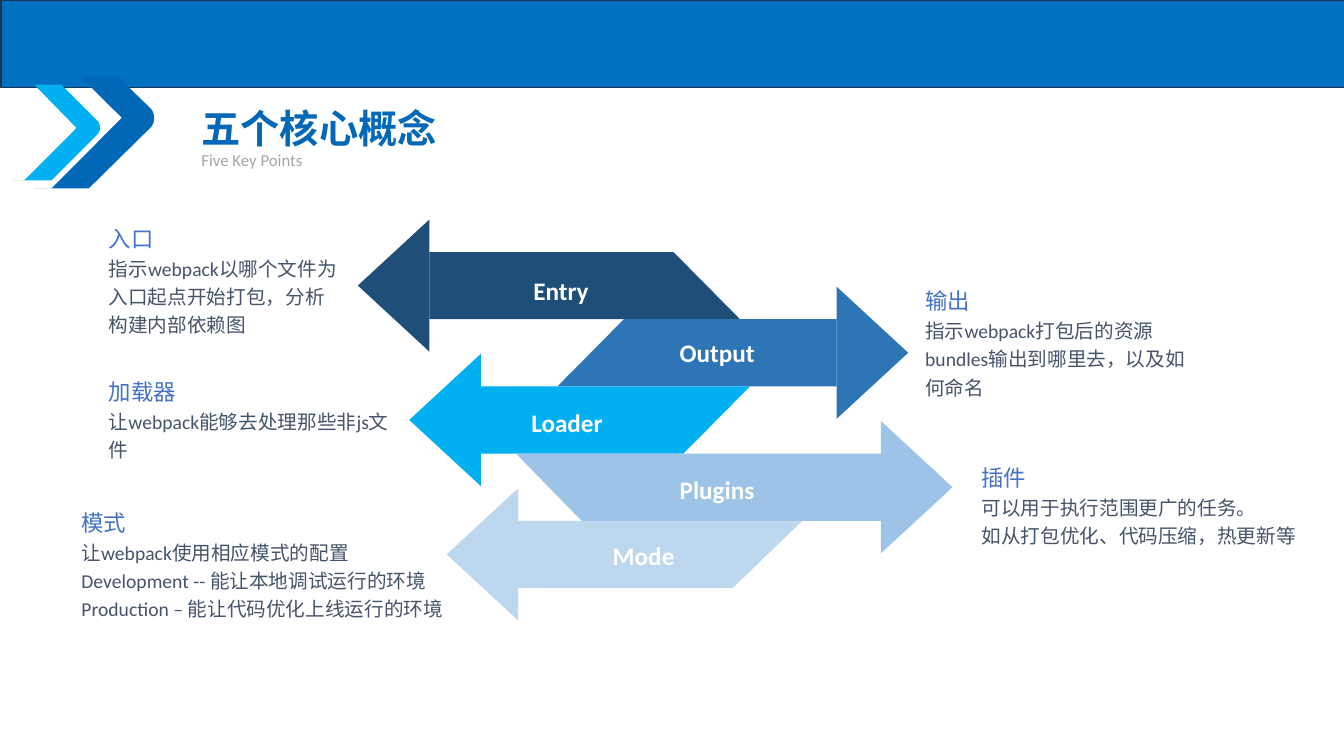
"""Build the slide on the five core concepts of a bundler."""
from dataclasses import dataclass

from pptx import Presentation
from pptx.dml.color import RGBColor
from pptx.enum.shapes import MSO_SHAPE
from pptx.enum.text import MSO_ANCHOR, MSO_AUTO_SIZE, PP_ALIGN
from pptx.util import Pt

RECTANGLE = MSO_SHAPE.RECTANGLE
TOP = MSO_ANCHOR.TOP
NO_FIT = MSO_AUTO_SIZE.NONE
LEFT, CENTER = PP_ALIGN.LEFT, PP_ALIGN.CENTER

FONT = "Calibri"
COLORS = {
    "band": "0070C0", "band_line": "1E3256", "title": "0068B7",
    "subtitle": "A6A6A6", "heading": "4472C4", "body": "44546A",
    "white": "FFFFFF", "navy": "1F4E79", "blue": "2E75B6",
    "cyan": "00B0F0", "sky": "9DC3E6", "pale": "BDD7EE",
}
FIRST_CENTER, ARROW_PITCH = 204, 48
HALF_BODY, HALF_HEAD, HEAD_LENGTH = 24, 47.2, 51.1
LABEL_WIDTH, LABEL_HEIGHT = 176.4, 31.7

Point = tuple[float, float]


@dataclass(frozen=True)
class Concept:
    """An arrow with its label and its description."""

    label: str
    color: str
    tip: float
    far_top: float
    far_bottom: float
    label_left: float
    label_top: float
    note_box: tuple[float, float, float, float]
    heading: str
    lines: tuple[str, ...]


@dataclass(frozen=True)
class Chevron:
    """A chevron with a rounded nose between two straight edges."""

    color: str
    before: tuple[Point, ...]
    nose: tuple[Point, Point, Point, Point]
    after: tuple[Point, ...]


CONCEPTS = (
    Concept("Entry", "navy", 255.6, 481, 528.5, 312.5, 188.6,
            (70.6, 153.4, 180, 90), "入口",
            ("指示webpack以哪个文件为入口起点开始打包，分析构建内部依赖图",)),
    Concept("Output", "blue", 648.7, 445.7, 398.2, 424, 233.3,
            (653.8, 198, 203.8, 90), "输出",
            ("指示webpack打包后的资源bundles输出到哪里去，以及如何命名",)),
    Concept("Loader", "cyan", 292.3, 535.7, 488.2, 316.8, 283,
            (70.6, 262.8, 223.9, 69.8), "加载器",
            ("让webpack能够去处理那些非js文件",)),
    Concept("Plugins", "sky", 680.4, 368.6, 415.4, 424, 331.2,
            (694.1, 324, 265.7, 69.8), "插件",
            ("可以用于执行范围更广的任务。",
             "如从打包优化、代码压缩，热更新等")),
    Concept("Mode", "pale", 319, 573.1, 523.4, 371.5, 378,
            (51.1, 356.4, 283.7, 90), "模式",
            ("让webpack使用相应模式的配置",
             "Development -- 能让本地调试运行的环境",
             "Production – 能让代码优化上线运行的环境")),
)
CHEVRONS = (
    Chevron("title", ((24.5, 134.6), (63.4, 134.6)),
            ((108, 90.7), (110.9, 87.1), (110.9, 81.4), (108, 77.8)),
            ((84.2, 54.7), (57.6, 54.7), (87.1, 84.2), (36.7, 134.6))),
    Chevron("cyan", ((8.6, 128.9), (36.7, 128.9)),
            ((69.8, 95.8), (72, 93.6), (72, 89.3), (69.8, 86.4)),
            ((43.9, 60.5), (24.5, 60.5), (54.7, 91.4), (17.3, 128.9))),
)


def rgb(color: str) -> RGBColor:
    """Return the named colour."""
    return RGBColor.from_string(COLORS[color])


def write_para(frame, text: str, *, size: float, color: str, bold: bool = False,
               align=LEFT, spacing: float = 1.2) -> None:
    """Add a formatted paragraph to a text frame."""
    para = frame.add_paragraph() if frame.text else frame.paragraphs[0]
    para.alignment, para.line_spacing = align, spacing
    span = para.add_run()
    span.text = text
    span.font.name, span.font.size, span.font.bold = FONT, Pt(size), bold
    span.font.color.rgb = rgb(color)


def add_box(page, left: float, top: float, width: float, height: float):
    """Add a wrapping text box and return its text frame."""
    box = page.shapes.add_textbox(Pt(left), Pt(top), Pt(width), Pt(height))
    box.text_frame.word_wrap = True
    return box.text_frame


def add_polygon(page, points: list[Point], color: str) -> None:
    """Draw a closed filled outline."""
    corners = [(Pt(x), Pt(y)) for x, y in points]
    builder = page.shapes.build_freeform(*corners[0])
    builder.add_line_segments(corners[1:], close=True)
    polygon = builder.convert_to_shape()
    polygon.shadow.inherit = False
    polygon.fill.solid()
    polygon.fill.fore_color.rgb = rgb(color)
    polygon.line.fill.background()


def add_arrow(page, concept: Concept, center: float) -> None:
    """Draw the slanted body and the head of an arrow."""
    points_left = concept.tip < concept.far_top
    neck = concept.tip + (HEAD_LENGTH if points_left else -HEAD_LENGTH)
    top, bottom = center - HALF_BODY, center + HALF_BODY
    add_polygon(page, [(neck, top), (concept.far_top, top),
                       (concept.far_bottom, bottom), (neck, bottom)], concept.color)
    add_polygon(page, [(concept.tip, center), (neck, center - HALF_HEAD),
                       (neck, center + HALF_HEAD)], concept.color)


def add_concept(page, concept: Concept, center: float) -> None:
    """Draw an arrow, its label and its description."""
    add_arrow(page, concept, center)
    label = add_box(page, concept.label_left, concept.label_top,
                    LABEL_WIDTH, LABEL_HEIGHT)
    write_para(label, concept.label, size=18, color="white", bold=True, align=CENTER)
    note = add_box(page, *concept.note_box)
    write_para(note, concept.heading, size=16, color="heading")
    for line in concept.lines:
        write_para(note, line, size=14, color="body")


def curve(nose: tuple[Point, Point, Point, Point], steps: int = 8) -> list[Point]:
    """Return points along a cubic curve."""
    points = []
    for step in range(steps + 1):
        t = step / steps
        weights = ((1 - t) ** 3, 3 * t * (1 - t) ** 2, 3 * t * t * (1 - t), t ** 3)
        points.append((sum(w * x for w, (x, _) in zip(weights, nose)),
                       sum(w * y for w, (_, y) in zip(weights, nose))))
    return points


def add_band(page) -> None:
    """Draw the band along the top edge."""
    band = page.shapes.add_shape(RECTANGLE, Pt(0.7), Pt(0), Pt(960), Pt(62.6))
    band.shadow.inherit = False
    band.fill.solid()
    band.fill.fore_color.rgb = rgb("band")
    band.line.color.rgb = rgb("band_line")
    band.line.width = Pt(1)


def add_titles(page) -> None:
    """Place the title and the line under it."""
    title = page.shapes.title
    title.left, title.top, title.width, title.height = (
        Pt(136.8), Pt(70.6), Pt(182.9), Pt(41))
    frame = title.text_frame
    frame.word_wrap, frame.auto_size, frame.vertical_anchor = False, NO_FIT, TOP
    write_para(frame, "五个核心概念", size=28, color="title", bold=True, spacing=1.0)
    subtitle = add_box(page, 136.8, 103.7, 398.9, 21.6)
    write_para(subtitle, "Five Key Points", size=12, color="subtitle", spacing=1.0)


def main() -> None:
    """Build and save the deck."""
    deck = Presentation()
    deck.slide_width, deck.slide_height = Pt(960), Pt(540)
    page = deck.slides.add_slide(deck.slide_layouts[5])
    add_band(page)
    add_titles(page)
    for chevron in CHEVRONS:
        outline = [*chevron.before, *curve(chevron.nose), *chevron.after]
        add_polygon(page, outline, chevron.color)
    for index, concept in enumerate(CONCEPTS):
        add_concept(page, concept, FIRST_CENTER + index * ARROW_PITCH)
    deck.save("out.pptx")


if __name__ == "__main__":
    main()
